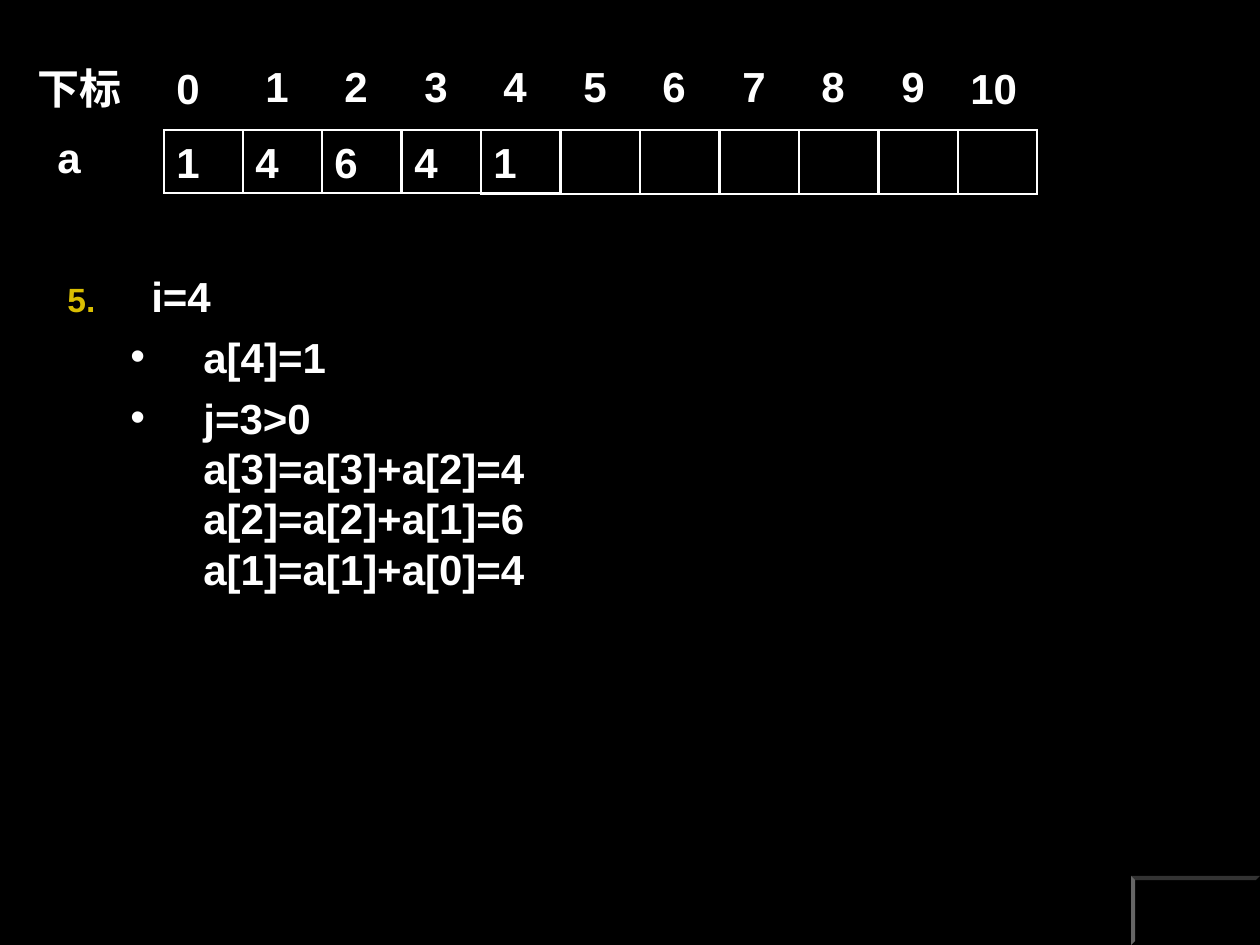
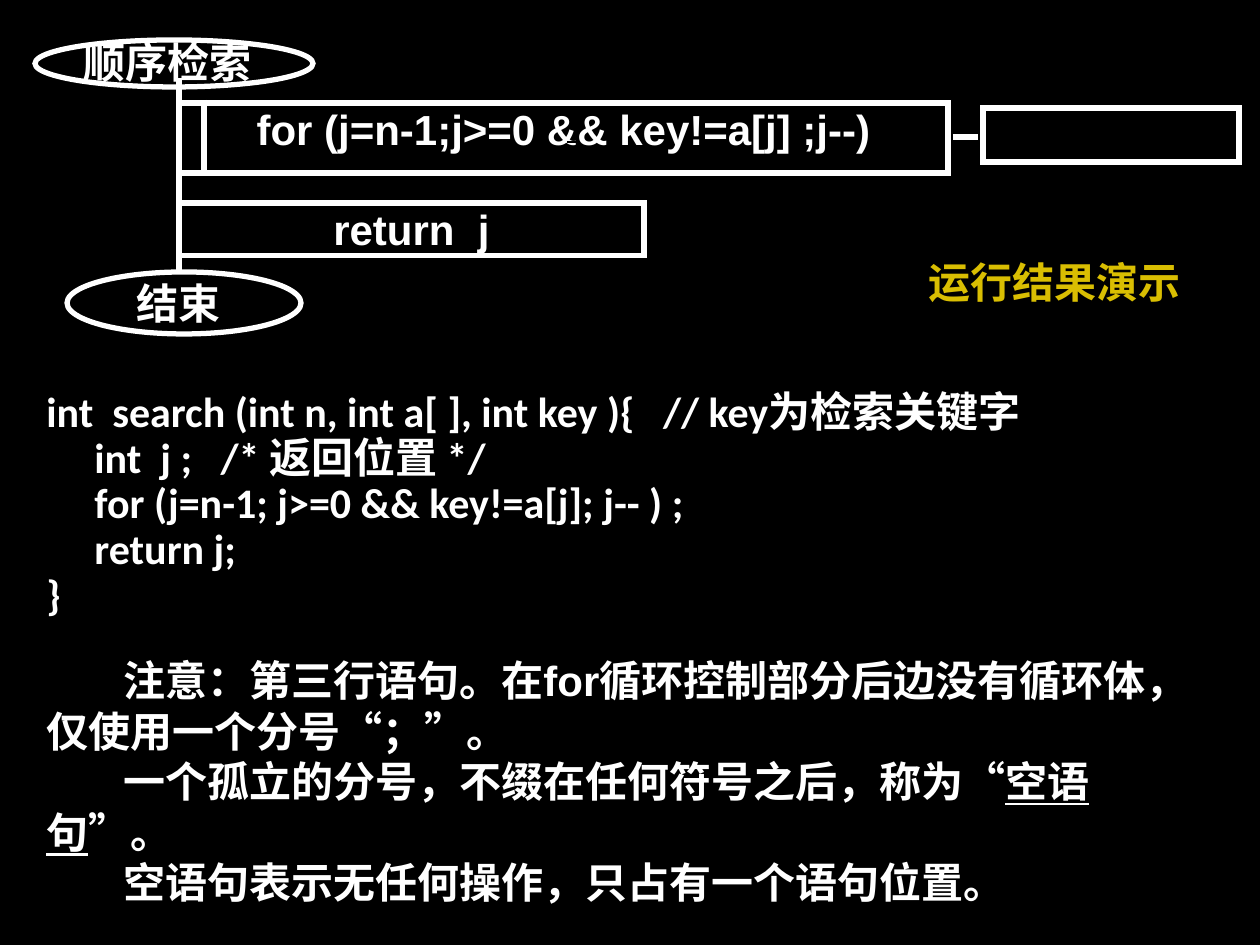
from dataclasses import dataclass

import lxml.etree
import pptx
import pptx.dml.color
import pptx.enum.shapes
import pptx.enum.text
import pptx.oxml.ns
import pptx.util

SCALE = 914400 / 126
SHAPES = pptx.enum.shapes.MSO_SHAPE
ANCHOR = pptx.enum.text.MSO_ANCHOR
ALIGN = pptx.enum.text.PP_ALIGN


@dataclass(frozen=True)
class Theme:
    background: str = "000000"
    ink: str = "FFFFFF"
    accent: str = "D9BE02"
    bevel_top: str = "333333"
    bevel_left: str = "666666"
    font: str = "Arial"
    code_font: str = "Calibri"
    size: int = 24
    hairline: float = 0.75
    thin: int = 1
    thick: int = 3


THEME = Theme()


def px(length):
    return pptx.util.Emu(round(length * SCALE))


def color(value):
    return pptx.dml.color.RGBColor.from_string(value)


def add_element(parent, name, **attributes):
    return lxml.etree.SubElement(parent, pptx.oxml.ns.qn(name), attributes)


def set_bullet(properties, bullet, bullet_color, bullet_size):
    add_element(add_element(properties, "a:buClr"), "a:srgbClr", val=bullet_color)
    add_element(properties, "a:buSzPct", val=str(bullet_size * 1000))
    add_element(properties, "a:buFont", typeface=THEME.font)
    if isinstance(bullet, int):
        add_element(properties, "a:buAutoNum", type="arabicPeriod", startAt=str(bullet))
    else:
        add_element(properties, "a:buChar", char=bullet)


def write(frame, text, *, ink=THEME.ink, font=THEME.font, align=ALIGN.LEFT,
          margin=0, indent=0, level=0, before=0, line_spacing=None,
          bullet=None, bullet_color=THEME.ink, bullet_size=100, underlined=None):
    paragraph = frame.paragraphs[0]
    if paragraph.runs:
        paragraph = frame.add_paragraph()
        paragraph.space_before = pptx.util.Pt(before)
    properties = paragraph._p.get_or_add_pPr()
    properties.set("marL", str(px(margin)))
    properties.set("indent", str(px(indent)))
    if bullet is not None:
        set_bullet(properties, bullet, bullet_color, bullet_size)
    paragraph.level = level
    paragraph.alignment = align
    if line_spacing:
        paragraph.line_spacing = line_spacing
    for piece in text.partition(underlined) if underlined else (text,):
        for number, line in enumerate(piece.split("\n")):
            if number:
                paragraph.add_line_break()
            run = paragraph.add_run()
            run.text = line
            run.font.name = font
            run.font.size = pptx.util.Pt(THEME.size)
            run.font.bold = True
            run.font.underline = piece == underlined
            run.font.color.rgb = color(ink)


class Deck:
    def __init__(self, theme):
        self.theme = theme
        self.presentation = pptx.Presentation()
        self.presentation.slide_width = px(1260)
        self.presentation.slide_height = px(945)
        self.slide = None

    def add_slide(self):
        self.slide = self.presentation.slides.add_slide(self.presentation.slide_layouts[6])
        fill = self.slide.background.fill
        fill.solid()
        fill.fore_color.rgb = color(self.theme.background)

    def frame(self, shape, inset=None, anchor=ANCHOR.TOP, wrap=True):
        frame = shape.text_frame
        frame.word_wrap = wrap
        frame.vertical_anchor = anchor
        if inset is not None:
            frame.margin_left = frame.margin_right = px(inset)
            frame.margin_top = frame.margin_bottom = px(inset)
        return frame

    def text_box(self, left, top, width, height, text=None, inset=None,
                 anchor=ANCHOR.TOP, **text_format):
        shape = self.slide.shapes.add_textbox(px(left), px(top), px(width), px(height))
        frame = self.frame(shape, inset, anchor)
        if text:
            write(frame, text, **text_format)
        return frame

    def outline(self, kind, left, top, width, height, weight, text=None,
                inset=None, **text_format):
        shape = self.slide.shapes.add_shape(kind, px(left), px(top), px(width), px(height))
        shape.shadow.inherit = False
        shape.fill.background()
        shape.line.color.rgb = color(self.theme.ink)
        shape.line.width = pptx.util.Pt(weight)
        add_element(shape.line._get_or_add_ln(), "a:miter", lim="800000")
        if text:
            write(self.frame(shape, inset), text, **text_format)

    def line(self, start, end, ink=THEME.ink, weight=THEME.thick):
        connector = self.slide.shapes.add_connector(
            pptx.enum.shapes.MSO_CONNECTOR.STRAIGHT, *map(px, start + end))
        connector.line.color.rgb = color(ink)
        connector.line.width = pptx.util.Pt(weight)
        add_element(connector._element.spPr, "a:effectLst")

    def polygon(self, points, fill):
        builder = self.slide.shapes.build_freeform(*points[0], scale=SCALE)
        builder.add_line_segments(points[1:], close=True)
        shape = builder.convert_to_shape()
        shape.shadow.inherit = False
        shape.fill.solid()
        shape.fill.fore_color.rgb = color(fill)
        shape.line.fill.background()
        return shape

    def panel(self, left, top, right, bottom):
        return self.polygon([(left, top), (right, top), (right, bottom), (left, bottom)],
                            self.theme.background)


def build_array_slide(deck):
    deck.add_slide()
    values = ["1", "4", "6", "4", "1"]
    count = 11
    row_left, row_width, cell_width = 164, 874, 79

    deck.text_box(25, 56, 144, 63, "下标")
    deck.text_box(45, 125, 79, 63, "a")
    for index in range(count):
        left = row_left + index * row_width // count
        inner = 0 < index < count - 1
        deck.text_box(left + 10 * inner, 56 - 2 * inner, cell_width, 63, str(index))
        if index >= len(values) - 1:
            deck.outline(SHAPES.RECTANGLE, left, 130, cell_width, 64, THEME.thin)
        if index < len(values):
            deck.outline(SHAPES.RECTANGLE, left, 130, cell_width, 63, THEME.thin,
                         values[index])

    steps = deck.text_box(55, 264, 1134, 348)
    write(steps, "i=4", margin=84, indent=-84, bullet=5,
          bullet_color=THEME.accent, bullet_size=80)
    for step in ("a[4]=1", "j=3>0\na[3]=a[3]+a[2]=4\na[2]=a[2]+a[1]=6\na[1]=a[1]+a[0]=4"):
        write(steps, step, margin=136, indent=-73, level=1, before=6, bullet="•")

    left, top, right, bottom, edge = 1131, 876, 1260, 945, 4
    inner_left, inner_top = left + edge, top + edge
    inner_right, inner_bottom = right - edge, bottom - edge
    deck.panel(left, top, right, bottom)
    deck.polygon([(left, top), (right, top), (inner_right, inner_top),
                  (inner_left, inner_top)], THEME.bevel_top)
    deck.polygon([(left, bottom), (left, top), (inner_left, inner_top),
                  (inner_left, inner_bottom)], THEME.bevel_left)


def build_search_slide(deck):
    deck.add_slide()
    thick = THEME.thick
    centered = {"align": ALIGN.CENTER}

    code = deck.text_box(34, 393, 1142, 238)
    for line, margin in (
            ("int  search (int n, int a[ ], int key ){   // key为检索关键字", 0),
            ("int  j ;   /* 返回位置 */", 48),
            ("for (j=n-1; j>=0 && key!=a[j]; j-- ) ;", 48),
            ("return j;", 48),
            ("}", 0)):
        write(code, line, font=THEME.code_font, margin=margin, before=6, line_spacing=0.7)

    demo_button = deck.panel(907, 234, 1201, 329)
    write(deck.frame(demo_button, anchor=ANCHOR.MIDDLE, wrap=False), "运行结果演示",
          ink=THEME.accent, **centered)

    deck.outline(SHAPES.OVAL, 35, 40, 278, 47, thick)
    deck.text_box(48, 35, 239, 47, "顺序检索", inset=1, **centered)
    deck.line((179, 78), (179, 271))
    deck.outline(SHAPES.RECTANGLE, 179, 203, 465, 53, thick, "return  j", inset=1, **centered)
    deck.outline(SHAPES.OVAL, 67, 272, 234, 62, thick)
    deck.text_box(45, 271, 267, 50, "结束", **centered)
    deck.outline(SHAPES.RECTANGLE, 179, 103, 769, 70, thick,
                 "for (j=n-1;j>=0 && key!=a[j] ;j--)", inset=1, **centered)
    deck.line((567, 142), (580, 142), THEME.background, THEME.hairline)
    deck.outline(SHAPES.RECTANGLE, 983, 108, 256, 54, thick)
    deck.line((204, 100), (204, 173))
    deck.line((953, 137), (978, 137))

    remarks = deck.text_box(34, 674, 1140, 214, anchor=ANCHOR.MIDDLE)
    for remark, underlined in (
            ("注意：第三行语句。在for循环控制部分后边没有循环体，仅使用一个分号“；”。", None),
            ("一个孤立的分号，不缀在任何符号之后，称为“空语句”。", "空语句"),
            ("空语句表示无任何操作，只占有一个语句位置。", None)):
        write(remarks, remark, indent=77, underlined=underlined)


def main():
    deck = Deck(THEME)
    build_array_slide(deck)
    build_search_slide(deck)
    deck.presentation.save("out.pptx")


if __name__ == "__main__":
    main()
